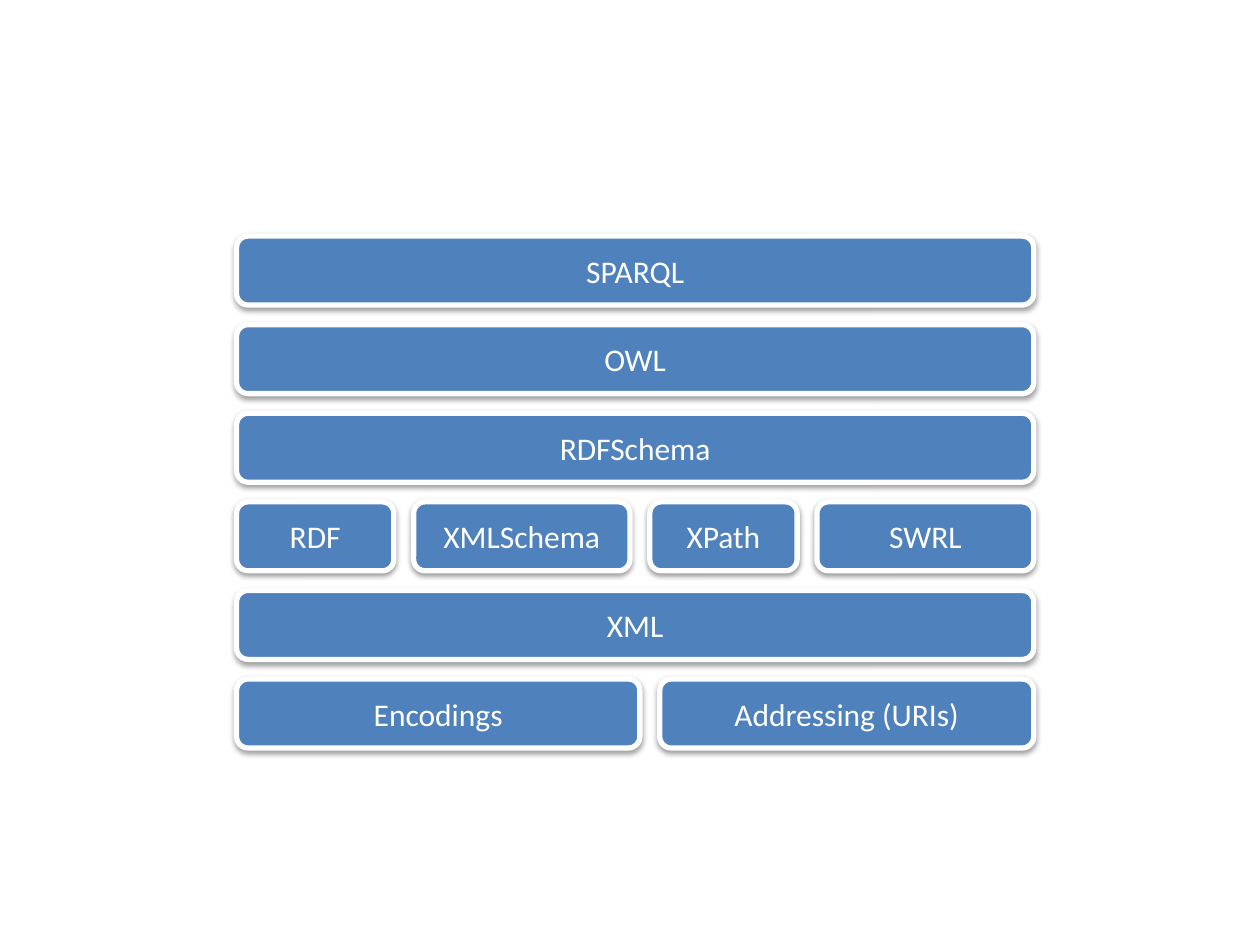
"""Builds a slide with the layered stack of semantic web standards."""
from dataclasses import dataclass

from lxml import etree
from pptx import Presentation
from pptx.dml.color import RGBColor
from pptx.enum.shapes import MSO_SHAPE
from pptx.enum.text import MSO_ANCHOR, PP_ALIGN
from pptx.oxml.ns import qn
from pptx.util import Cm, Pt

ROUNDED = MSO_SHAPE.ROUNDED_RECTANGLE
MIDDLE = MSO_ANCHOR.MIDDLE
CENTER = PP_ALIGN.CENTER


@dataclass(frozen=True)
class Theme:
    fill: RGBColor = RGBColor(0x4F, 0x81, 0xBD)
    light: RGBColor = RGBColor(0xFF, 0xFF, 0xFF)
    shadow: RGBColor = RGBColor(0x00, 0x00, 0x00)
    font: str = "Calibri"
    text_size: Pt = Pt(18)
    border: Pt = Pt(3)


class StackSlide:
    def __init__(self, page, theme):
        self.page = page
        self.theme = theme

    def add_shadow(self, box):
        box.shadow.inherit = False
        effects = box._element.spPr.find(qn("a:effectLst"))
        shadow = etree.SubElement(
            effects, qn("a:outerShdw"), blurRad=str(Pt(3.1)),
            dist=str(Pt(1.6)), dir="5400000", rotWithShape="0")
        color = etree.SubElement(shadow, qn("a:srgbClr"), val=str(self.theme.shadow))
        etree.SubElement(color, qn("a:alpha"), val="38000")

    def add_block(self, label, left, top, width, height):
        box = self.page.shapes.add_shape(
            ROUNDED, Cm(left), Cm(top), Cm(width), Cm(height))
        box.fill.solid()
        box.fill.fore_color.rgb = self.theme.fill
        box.line.color.rgb = self.theme.light
        box.line.width = self.theme.border
        self.add_shadow(box)
        box.text_frame.vertical_anchor = MIDDLE
        para = box.text_frame.paragraphs[0]
        para.text = label
        para.alignment = CENTER
        para.font.name = self.theme.font
        para.font.size = self.theme.text_size
        para.font.color.rgb = self.theme.light

    def add_layer(self, blocks, left, top, height, gap):
        for label, width in blocks:
            self.add_block(label, left, top, width, height)
            left += width + gap


LEFT, FIRST_TOP, LAST_TOP = 4.77, 4.76, 13.69
FULL_WIDTH, HEIGHT, GAP = 16.07, 1.39, 0.4

LAYERS = [
    [("SPARQL", FULL_WIDTH)],
    [("OWL", FULL_WIDTH)],
    [("RDFSchema", FULL_WIDTH)],
    [("RDF", 3.17), ("XMLSchema", 4.36), ("XPath", 2.97), ("SWRL", 4.37)],
    [("XML", FULL_WIDTH)],
    [("Encodings", 8.13), ("Addressing (URIs)", 7.54)],
]
PITCH = (LAST_TOP - FIRST_TOP) / (len(LAYERS) - 1)

deck = Presentation()
deck.slide_width, deck.slide_height = Cm(25.4), Cm(19.05)
stack = StackSlide(deck.slides.add_slide(deck.slide_layouts[6]), Theme())
for level, layer in reversed(list(enumerate(LAYERS))):
    stack.add_layer(layer, LEFT, FIRST_TOP + level * PITCH, HEIGHT, GAP)
deck.save("out.pptx")
